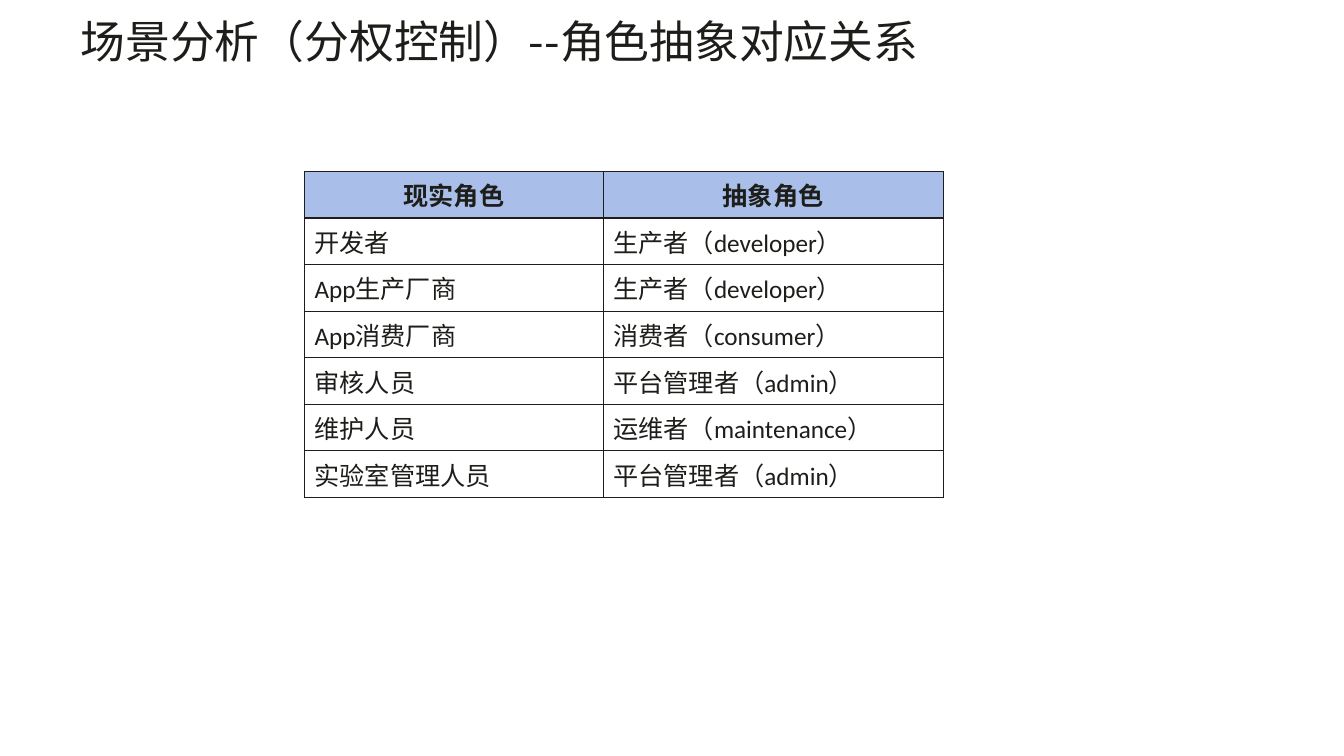
from dataclasses import dataclass

from lxml.etree import SubElement
from pptx import Presentation
from pptx.dml.color import RGBColor
from pptx.enum.text import MSO_ANCHOR, PP_ALIGN
from pptx.oxml.ns import qn
from pptx.slide import Slide
from pptx.table import _Cell
from pptx.text.text import _Paragraph
from pptx.util import Pt


@dataclass(frozen=True)
class Theme:
    ink: str = "1D1D1A"
    header_fill: str = "A9BEE9"
    latin_font: str = "Calibri"
    chinese_font: str = "Noto Sans CJK SC"
    title_size: float = 32
    table_size: float = 18
    border_width: float = 1


@dataclass(frozen=True)
class RoleMapping:
    real: str
    abstract: str


THEME = Theme()
TITLE = "场景分析（分权控制）--角色抽象对应关系"
HEADER = RoleMapping("现实角色", "抽象角色")
MAPPINGS = [
    RoleMapping("开发者", "生产者（developer）"),
    RoleMapping("App生产厂商", "生产者（developer）"),
    RoleMapping("App消费厂商", "消费者（consumer）"),
    RoleMapping("审核人员", "平台管理者（admin）"),
    RoleMapping("维护人员", "运维者（maintenance）"),
    RoleMapping("实验室管理人员", "平台管理者（admin）"),
]
COLUMN_WIDTHS = (213.5, 243)
ROW_HEIGHT = 33.3


def style_paragraph(paragraph: _Paragraph, latin: str, size: float, bold: bool = False) -> None:
    for span in paragraph.runs:
        span.font.name = latin
        span.font.size = Pt(size)
        span.font.bold = bold
        span.font.color.rgb = RGBColor.from_string(THEME.ink)
        east_asian = SubElement(span.font._element, qn("a:ea"))
        east_asian.set("typeface", THEME.chinese_font)


def add_title(page: Slide) -> None:
    box = page.shapes.add_textbox(Pt(57.6), Pt(13.7), Pt(846), Pt(45.4))
    frame = box.text_frame
    frame.word_wrap = True
    frame.margin_left = frame.margin_top = frame.margin_right = frame.margin_bottom = 0
    frame.text = TITLE
    paragraph = frame.paragraphs[0]
    paragraph.line_spacing = Pt(34.3)
    style_paragraph(paragraph, THEME.chinese_font, THEME.title_size)


def fill_cell(cell: _Cell, text: str, is_header: bool) -> None:
    cell.text_frame.text = text
    cell.vertical_anchor = MSO_ANCHOR.MIDDLE
    paragraph = cell.text_frame.paragraphs[0]
    paragraph.alignment = PP_ALIGN.CENTER if is_header else PP_ALIGN.LEFT
    style_paragraph(paragraph, THEME.latin_font, THEME.table_size, is_header)

    # Borders come before the fill in the cell properties
    properties = cell._tc.get_or_add_tcPr()
    for side in ("lnL", "lnR", "lnT", "lnB"):
        line = SubElement(properties, qn(f"a:{side}"), w=str(Pt(THEME.border_width)))
        solid = SubElement(line, qn("a:solidFill"))
        SubElement(solid, qn("a:srgbClr"), val=THEME.ink)

    if is_header:
        cell.fill.solid()
        cell.fill.fore_color.rgb = RGBColor.from_string(THEME.header_fill)
    else:
        cell.fill.background()


def add_role_table(page: Slide) -> None:
    rows = [HEADER, *MAPPINGS]
    table = page.shapes.add_table(
        len(rows), len(COLUMN_WIDTHS), Pt(217.6), Pt(122.4),
        Pt(sum(COLUMN_WIDTHS)), Pt(ROW_HEIGHT * len(rows)),
    ).table
    table.horz_banding = False
    for column, width in zip(table.columns, COLUMN_WIDTHS):
        column.width = Pt(width)
    for index, mapping in enumerate(rows):
        table.rows[index].height = Pt(ROW_HEIGHT)
        for position, text in enumerate((mapping.real, mapping.abstract)):
            fill_cell(table.cell(index, position), text, is_header=index == 0)


def main() -> None:
    deck = Presentation()
    deck.slide_width, deck.slide_height = Pt(960.5), Pt(540)
    page = deck.slides.add_slide(deck.slide_layouts[6])
    add_title(page)
    add_role_table(page)
    deck.save("out.pptx")


if __name__ == "__main__":
    main()
